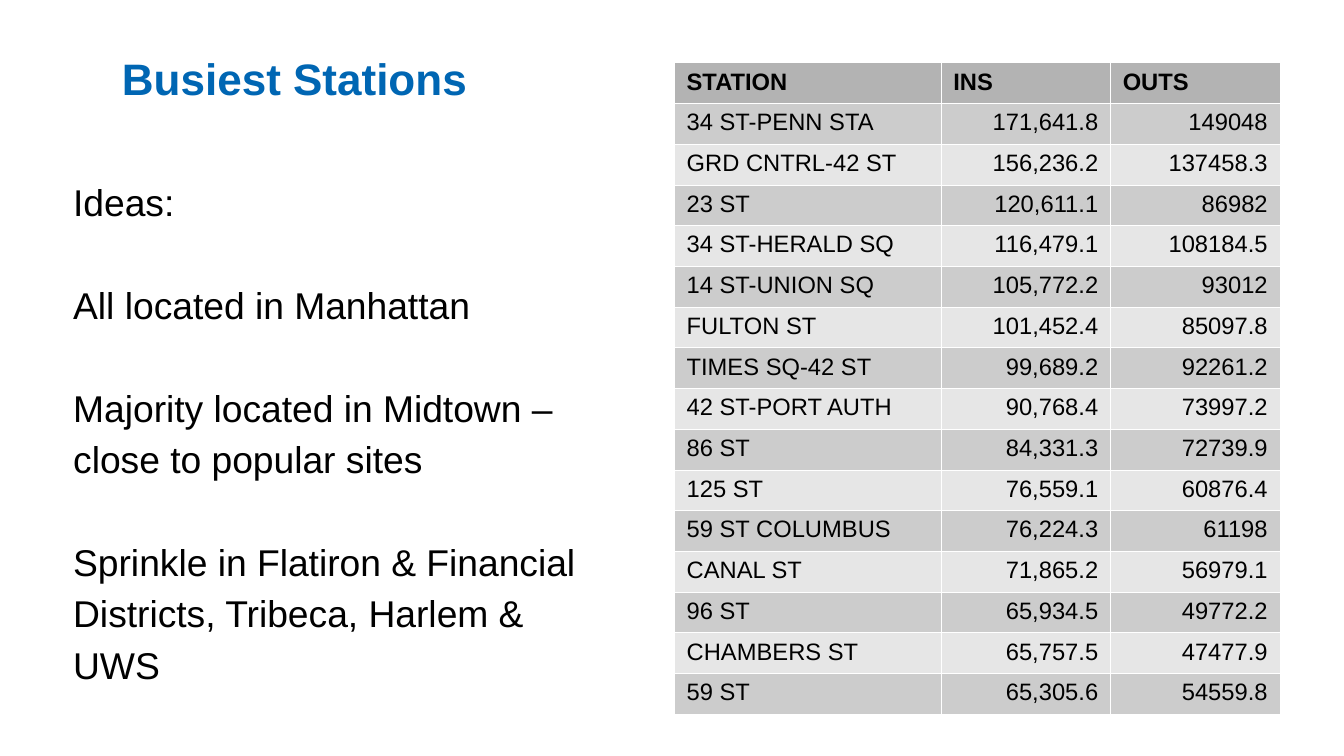
import pptx
import pptx.util
import pptx.dml.color
import pptx.enum.text
import pptx.oxml
import pptx.oxml.ns

Pt = pptx.util.Pt
ALIGN = pptx.enum.text.PP_ALIGN
ANCHOR = pptx.enum.text.MSO_ANCHOR
AUTO = pptx.enum.text.MSO_AUTO_SIZE
COLORS = {"title": "0066B3", "text": "000000", "header": "B3B3B3",
          "dark": "CCCCCC", "light": "E6E6E6", "border": "FFFFFF"}


def write(p, text, size, color="text", bold=False, align=ALIGN.LEFT, before=0, line=1.0):
    p.alignment = align
    p.space_before = Pt(before)
    p.line_spacing = line
    r = p.add_run()
    r.text = text
    r.font.name = "Arial"
    r.font.size = Pt(size)
    r.font.bold = bold
    r.font.color.rgb = pptx.dml.color.RGBColor.from_string(COLORS[color])


prs = pptx.Presentation()
prs.slide_width = Pt(793.5)
prs.slide_height = Pt(446.4)
s = prs.slides.add_slide(prs.slide_layouts[1])

sp = s.shapes.title
sp.left, sp.top, sp.width, sp.height = Pt(0), Pt(5.8), Pt(360), Pt(80.6)
tf = sp.text_frame
tf.margin_left = Pt(72)
tf.margin_right = tf.margin_top = tf.margin_bottom = Pt(0)
tf.vertical_anchor = ANCHOR.MIDDLE
tf.auto_size = AUTO.NONE
write(tf.paragraphs[0], "Busiest Stations", size=26, color="title", bold=True)

ideas = [
    "Ideas:",
    "All located in Manhattan",
    "Majority located in Midtown – close to popular sites",
    "Sprinkle in Flatiron & Financial Districts, Tribeca, Harlem & UWS",
]
sp = s.placeholders[1]
sp.left, sp.top, sp.width, sp.height = Pt(36), Pt(98.6), Pt(331.2), Pt(290.2)
tf = sp.text_frame
tf.word_wrap = True
tf.vertical_anchor = ANCHOR.TOP
tf.auto_size = AUTO.SHAPE_TO_FIT_TEXT
for i, idea in enumerate(ideas):
    p = tf.add_paragraph() if i else tf.paragraphs[0]
    pPr = p._p.get_or_add_pPr()
    pPr.set("marL", "0")
    pPr.set("indent", "0")
    pPr.append(pptx.oxml.parse_xml(f'<a:buNone {pptx.oxml.ns.nsdecls("a")}/>'))
    write(p, idea, size=22, before=30.3 if i else 0, line=1.15)

rows = [
    ("STATION", "INS", "OUTS"),
    ("34 ST-PENN STA", "171,641.8", "149048"),
    ("GRD CNTRL-42 ST", "156,236.2", "137458.3"),
    ("23 ST", "120,611.1", "86982"),
    ("34 ST-HERALD SQ", "116,479.1", "108184.5"),
    ("14 ST-UNION SQ", "105,772.2", "93012"),
    ("FULTON ST", "101,452.4", "85097.8"),
    ("TIMES SQ-42 ST", "99,689.2", "92261.2"),
    ("42 ST-PORT AUTH", "90,768.4", "73997.2"),
    ("86 ST", "84,331.3", "72739.9"),
    ("125 ST", "76,559.1", "60876.4"),
    ("59 ST COLUMBUS", "76,224.3", "61198"),
    ("CANAL ST", "71,865.2", "56979.1"),
    ("96 ST", "65,934.5", "49772.2"),
    ("CHAMBERS ST", "65,757.5", "47477.9"),
    ("59 ST", "65,305.6", "54559.8"),
]
widths = [157.5, 100, 100]
row_height = 24
tbl = s.shapes.add_table(len(rows), len(widths), Pt(398.2), Pt(36.9),
                         Pt(sum(widths)), Pt(row_height * len(rows))).table
for col, width in zip(tbl.columns, widths):
    col.width = Pt(width)
for i, row in enumerate(rows):
    tbl.rows[i].height = Pt(row_height)
    fill = "header" if i == 0 else "dark" if i % 2 else "light"
    for j, text in enumerate(row):
        cell = tbl.cell(i, j)
        align = ALIGN.RIGHT if i and j else ALIGN.LEFT
        write(cell.text_frame.paragraphs[0], text, size=14, bold=i == 0, align=align)
        tcPr = cell._tc.get_or_add_tcPr()
        for side in ("lnL", "lnR", "lnT", "lnB"):
            tcPr.append(pptx.oxml.parse_xml(
                f'<a:{side} {pptx.oxml.ns.nsdecls("a")} w="{int(Pt(0.06))}"><a:solidFill>'
                f'<a:srgbClr val="{COLORS["border"]}"/></a:solidFill></a:{side}>'))
        cell.fill.solid()
        cell.fill.fore_color.rgb = pptx.dml.color.RGBColor.from_string(COLORS[fill])

prs.save("out.pptx")
